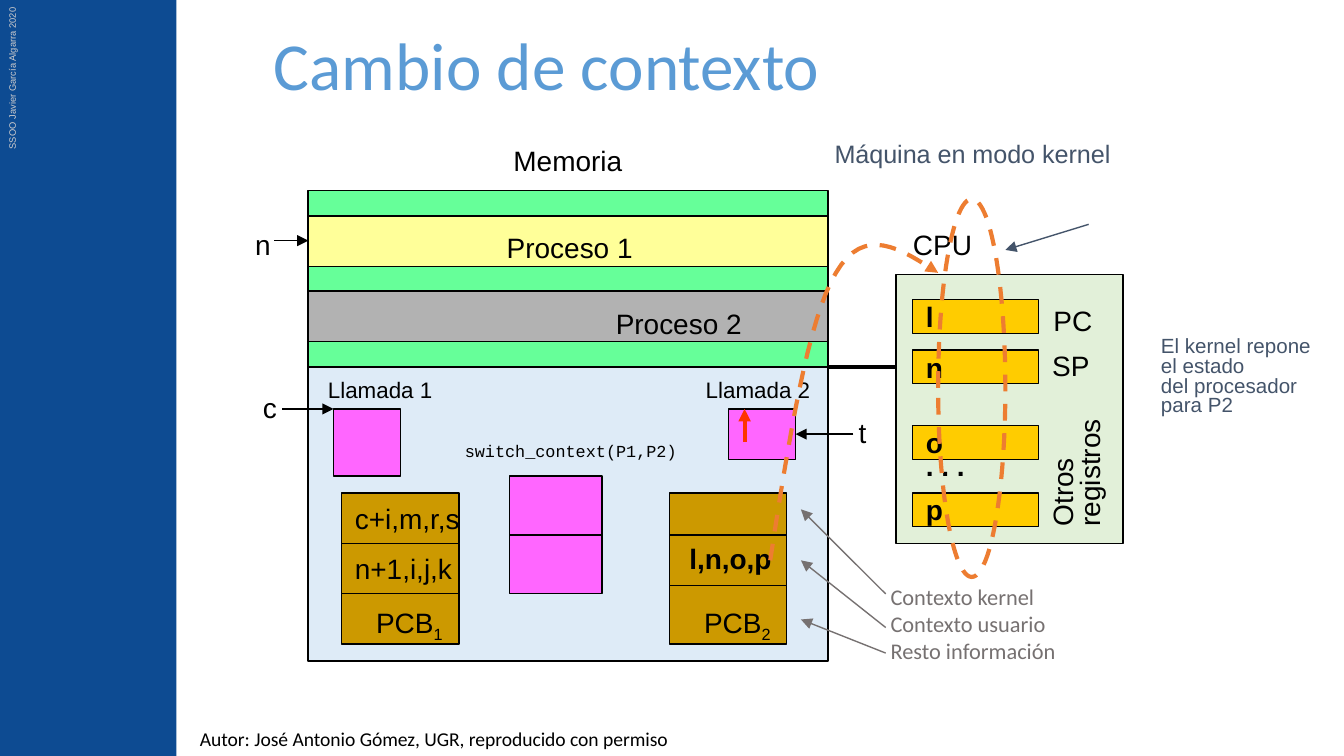
from lxml import etree
from pptx import Presentation
from pptx.dml.color import RGBColor
from pptx.enum.dml import MSO_LINE
from pptx.enum.shapes import MSO_CONNECTOR, MSO_SHAPE
from pptx.enum.text import MSO_ANCHOR, PP_ALIGN
from pptx.oxml.ns import qn
from pptx.util import Pt

RECT, OVAL = MSO_SHAPE.RECTANGLE, MSO_SHAPE.OVAL
STRAIGHT, DASH = MSO_CONNECTOR.STRAIGHT, MSO_LINE.DASH
TOP, MIDDLE, BOTTOM = MSO_ANCHOR.TOP, MSO_ANCHOR.MIDDLE, MSO_ANCHOR.BOTTOM
LEFT = PP_ALIGN.LEFT

BLACK, SLATE, GRAY, ORANGE = "000000", "44546A", "767171", "ED7D31"
PINK, GOLD, OCHRE = "FF66FF", "FFCC00", "CC9900"

MEM_X, MEM_W = 165.1, 278.6
MEMORY_BANDS = [
    (196.6, 157.5, "DEEBF7"),
    (102.1, 94.5, "66FF99"),
    (156, 27, "B2B2B2"),
    (115.7, 27, "FFFF99"),
]
CPU = (480.1, 147.1, 121.5, 144)
STACKS = [
    (272.9, 286.6, 49.6, 31.5),
    (272.9, 255.1, 49.6, 31.5),
    (390.2, 219.1, 36, 27),
    (178.7, 219.1, 36, 36),
]
PCB_W = 63
PCB_CELLS = [
    (183, 313.6, 31.5, None),
    (183, 264.1, 27, "c+i,m,r,s"),
    (183, 291.1, 27, "n+1,i,j,k"),
    (358.5, 313.6, 31.5, None),
    (358.5, 286.6, 27, None),
    (358.5, 264.1, 22.5, None),
]
REGISTERS = [(160.6, "l"), (187.6, "n"), (228.1, "o"), (264.1, "p")]

LABELS = [
    ("Memoria", 268, 73.4, 76, {}),
    ("CPU", 482, 118.4, 49, {}),
    ("PC", 557.3, 159, 39, {}),
    ("SP", 556.6, 183, 39, {}),
    (". . .", 488.9, 236.9, 39, {"bold": True}),
    ("n", 129.6, 118.4, 25, {}),
    ("c", 133.7, 205.9, 25, {}),
    ("t", 452.9, 219.2, 22, {}),
    ("Proceso 1", 264.4, 120.2, 86, {}),
    ("Proceso 2", 322.8, 160.8, 86, {}),
    ("Llamada 1", 168.6, 198, 75, {"size": 12}),
    ("Llamada 2", 371, 198, 75, {"size": 12}),
    ("l,n,o,p", 362.2, 286.6, 64, {"bold": True}),
    ("Máquina en modo kernel", 440, 70.6, 170, {"size": 13.5, "color": SLATE}),
]
PCB_LABELS = [("1", 194.4), ("2", 370.1)]

ARROWS = [
    (146.9, 128.9, 165.2, 128.9, BLACK, 0.75),
    (151.2, 219.1, 178.7, 219.1, BLACK, 0.75),
    (457.2, 232.6, 426.2, 232.6, BLACK, 0.75),
    (398.9, 236.9, 398.9, 219.1, "FF3300", 2.25),
    (583.2, 120.2, 538.6, 133.9, SLATE, 0.75),
    (474.5, 318.2, 429.1, 272.9, GRAY, 0.75),
    (474.5, 336.2, 429.1, 300.2, GRAY, 0.75),
    (474.5, 349.9, 429.1, 331.9, GRAY, 0.75),
]
RESTORE_CURVE = [
    [(412.6, 300.2), (422.6, 235.4), (432.7, 171.4), (447.8, 146.2)],
    [(447.8, 146.2), (463, 120.2), (482.4, 133.2), (502.6, 146.2)],
]
CURVE_STEPS = 16

prs = Presentation()
prs.slide_width, prs.slide_height = Pt(720), Pt(405)
s = prs.slides.add_slide(prs.slide_layouts[6])


def rgb(value):
    return RGBColor.from_string(value)


def set_line(sp, color, width, dash=None, arrow=False):
    sp.line.color.rgb = rgb(color)
    sp.line.width = Pt(width)
    if dash:
        sp.line.dash_style = dash
    if arrow:
        ln = sp.line._get_or_add_ln()
        etree.SubElement(ln, qn("a:tailEnd"), type="triangle")


def write(sp, text, size=15, font="Arial", color=BLACK, bold=False, wrap=False,
          anchor=TOP, spacing=None):
    tf = sp.text_frame
    tf.word_wrap, tf.vertical_anchor = wrap, anchor
    tf.margin_left = tf.margin_right = Pt(7.2)
    tf.margin_top = tf.margin_bottom = Pt(3.6)
    for i, line in enumerate(text.split("\n")):
        p = tf.add_paragraph() if i else tf.paragraphs[0]
        p.alignment = LEFT
        if spacing:
            p.line_spacing = spacing
        add_run(p, line, size, font, color, bold)


def add_run(p, text, size, font, color, bold=False):
    r = p.add_run()
    r.text = text
    r.font.size, r.font.name, r.font.bold = Pt(size), font, bold
    r.font.color.rgb = rgb(color)
    return r


def add_text(text, x, y, w, h, rotation=0, **fmt):
    sp = s.shapes.add_textbox(Pt(x), Pt(y), Pt(w), Pt(h))
    sp.rotation = rotation
    write(sp, text, **fmt)
    return sp


def add_box(x, y, w, h, fill, text=None, outlined=True, **fmt):
    sp = s.shapes.add_shape(RECT, Pt(x), Pt(y), Pt(w), Pt(h))
    sp.shadow.inherit = False
    sp.fill.solid()
    sp.fill.fore_color.rgb = rgb(fill)
    if outlined:
        set_line(sp, BLACK, 0.75)
    else:
        sp.line.fill.background()
    if text:
        write(sp, text, anchor=MIDDLE, **fmt)


def add_line(x1, y1, x2, y2, color, width, arrow=True):
    sp = s.shapes.add_connector(STRAIGHT, Pt(x1), Pt(y1), Pt(x2), Pt(y2))
    set_line(sp, color, width, arrow=arrow)
    etree.SubElement(sp._element.spPr, qn("a:effectLst"))


def bezier(points, t):
    weights = ((1 - t) ** 3, 3 * t * (1 - t) ** 2, 3 * t * t * (1 - t), t ** 3)
    return tuple(Pt(sum(k * pt[axis] for k, pt in zip(weights, points)))
                 for axis in (0, 1))


add_box(-0.5, 0, 95, 405, "0D4B92", outlined=False)
add_text("SSOO Javier García Algarra 2020", -47.5, 25.9, 108.7, 13.7, rotation=270,
         size=5, color="D0CECE", wrap=True)
add_text("Cambio de contexto", 139.7, 18, 555, 41.8, size=36, font="Calibri",
         color="5B9BD5", wrap=True, anchor=BOTTOM, spacing=0.9)

for y, h, fill in MEMORY_BANDS:
    add_box(MEM_X, y, MEM_W, h, fill)
add_box(*CPU, "E2F0D9")
add_line(MEM_X + MEM_W, 196.6, CPU[0], 196.6, BLACK, 2.25, arrow=False)
for stack in STACKS:
    add_box(*stack, PINK)
for x, y, h, text in PCB_CELLS:
    add_box(x, y, PCB_W, h, OCHRE, text)
for y, text in REGISTERS:
    add_box(488.9, y, 67.5, 18, GOLD, text, bold=True)

for text, x, y, w, fmt in LABELS:
    add_text(text, x, y, w, 25, **fmt)
for index, x in PCB_LABELS:
    sp = add_text("PCB", x, 321.1, 54, 27)
    r = add_run(sp.text_frame.paragraphs[0], index, 15, "Arial", BLACK)
    r.font._element.set("baseline", "-25000")
add_text("Otros\nregistros", 541.9, 235.1, 72, 36, rotation=270, spacing=0.8)
add_text("El kernel repone el estado\ndel procesador para P2", 614.9, 177.5, 96.5, 49,
         size=11, color=SLATE, wrap=True, spacing=0.8)
add_text("switch_context(P1,P2)", 241.9, 232.6, 130.3, 18, size=9,
         font="Courier New", wrap=True)
add_text("Contexto kernel\nContexto usuario\nResto información", 470, 309.1, 103.7, 50.4,
         size=12, font="Calibri", color=GRAY, wrap=True)
add_text("Autor: José Antonio Gómez, UGR, reproducido con permiso", 100, 386.1, 450, 19,
         size=10.5, font="Calibri", wrap=True)

ellipse = s.shapes.add_shape(OVAL, Pt(502.6), Pt(106.6), Pt(36), Pt(202.5))
curve_points = [bezier(part, i / CURVE_STEPS)
                for part in RESTORE_CURVE for i in range(1, CURVE_STEPS + 1)]
fb = s.shapes.build_freeform(*bezier(RESTORE_CURVE[0], 0))
fb.add_line_segments(curve_points, close=False)
curve = fb.convert_to_shape()
for sp, arrow in ((ellipse, False), (curve, True)):
    sp.shadow.inherit = False
    sp.fill.background()
    set_line(sp, ORANGE, 2.25, DASH, arrow)

for arrow in ARROWS:
    add_line(*arrow)

prs.save("out.pptx")
